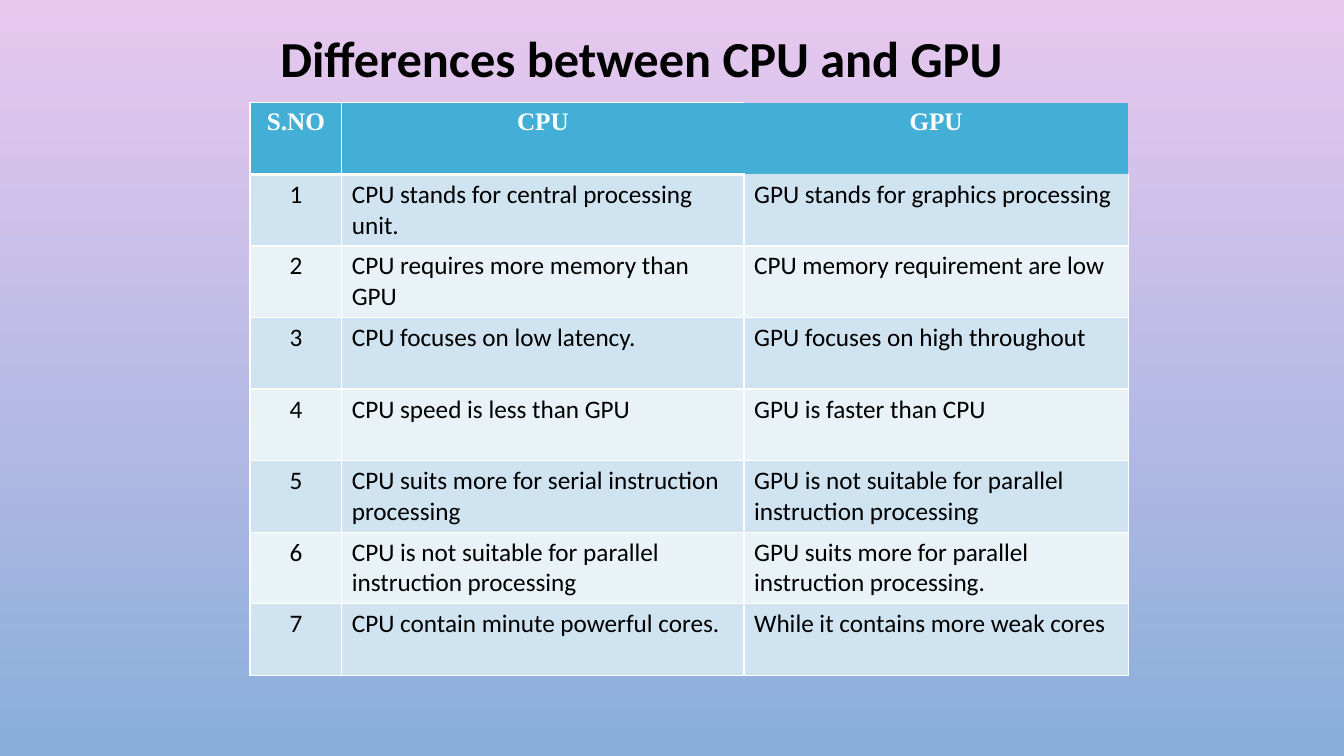
from dataclasses import dataclass

from lxml.etree import SubElement
from pptx import Presentation
from pptx.dml.color import RGBColor
from pptx.enum.text import MSO_ANCHOR, PP_ALIGN
from pptx.oxml.ns import qn
from pptx.util import Inches, Pt

WHITE, BLACK = "FFFFFF", "000000"
HEADER_FILL = "43AFD6"
BAND_FILLS = ("E9F2F7", "CFE3F0")
COLUMN_WIDTHS = (0.91, 3.99, 3.81)
ROW_HEIGHT = 0.71


@dataclass(frozen=True)
class Difference:
    cpu: str
    gpu: str


DIFFERENCES = (
    Difference("CPU stands for central processing unit.", "GPU stands for graphics processing"),
    Difference("CPU requires more memory than GPU", "CPU memory requirement are low"),
    Difference("CPU focuses on low latency.", "GPU focuses on high throughout"),
    Difference("CPU speed is less than GPU", "GPU is faster than CPU"),
    Difference("CPU suits more for serial instruction processing",
               "GPU is not suitable for parallel instruction processing"),
    Difference("CPU is not suitable for parallel instruction processing",
               "GPU suits more for parallel instruction processing."),
    Difference("CPU contain minute powerful cores.", "While it contains more weak cores"),
)


def color(value: str) -> RGBColor:
    return RGBColor.from_string(value)


def write(frame, text: str, *, size: float, font: str = "Calibri", fill: str = BLACK,
          bold: bool = False, align=PP_ALIGN.LEFT, spacing: float = 1.0) -> None:
    para = frame.paragraphs[0]
    para.alignment = align
    para.line_spacing = spacing
    span = para.add_run()
    span.text = text
    span.font.name = font
    span.font.size = Pt(size)
    span.font.bold = bold
    span.font.color.rgb = color(fill)


def border_widths(row: int, column: int) -> dict[str, float]:
    """Return the line width in points for each side of a cell; 0 means no line."""
    widths = {"L": 1, "R": 1, "T": 1, "B": 1}
    if row == 0:
        widths["B"] = 3
        if column == 1:
            widths["R"] = 0
        elif column == 2:
            widths = dict.fromkeys(widths, 0)
    elif row == 1:
        widths["T"] = 0 if column == 2 else 3
    return widths


def draw_borders(cell, widths: dict[str, float]) -> None:
    properties = cell._tc.get_or_add_tcPr()
    for side, width in widths.items():
        line = SubElement(properties, qn(f"a:ln{side}"), w=str(Pt(width)))
        if width:
            fill = SubElement(line, qn("a:solidFill"))
            SubElement(fill, qn("a:srgbClr"), val=WHITE)
        else:
            SubElement(line, qn("a:noFill"))


def paint_background(page) -> None:
    fill = page.background.fill
    fill.gradient()
    fill.gradient_angle = 270
    for stop, value in zip(fill.gradient_stops, ("E9C8EF", "89AEDB")):
        stop.color.rgb = color(value)


def add_title(page) -> None:
    box = page.shapes.add_textbox(Inches(0.7), Inches(-0.27), Inches(11.33), Inches(1.75))
    box.text_frame.word_wrap = True
    box.text_frame.vertical_anchor = MSO_ANCHOR.MIDDLE
    write(box.text_frame, "Differences between CPU and GPU", size=36, bold=True,
          align=PP_ALIGN.CENTER, spacing=0.9)


def add_comparison(page) -> None:
    rows = [("S.NO", "CPU", "GPU")]
    rows += [(str(number), item.cpu, item.gpu) for number, item in enumerate(DIFFERENCES, 1)]
    table = page.shapes.add_table(
        len(rows), len(COLUMN_WIDTHS), Inches(2.48), Inches(1.02),
        Inches(sum(COLUMN_WIDTHS)), Inches(ROW_HEIGHT * len(rows))).table
    for column, width in zip(table.columns, COLUMN_WIDTHS):
        column.width = Inches(width)
    for row, texts in enumerate(rows):
        table.rows[row].height = Inches(ROW_HEIGHT)
        for column, text in enumerate(texts):
            cell = table.cell(row, column)
            draw_borders(cell, border_widths(row, column))
            cell.fill.solid()
            cell.fill.fore_color.rgb = color(BAND_FILLS[row % 2] if row else HEADER_FILL)
            centred = row == 0 or column == 0
            write(cell.text_frame, text, size=18, bold=row == 0,
                  font="Calibri" if row else "Times New Roman",
                  fill=BLACK if row else WHITE,
                  align=PP_ALIGN.CENTER if centred else PP_ALIGN.LEFT)


def main() -> None:
    deck = Presentation()
    deck.slide_width, deck.slide_height = Inches(13.33), Inches(7.5)
    page = deck.slides.add_slide(deck.slide_layouts[6])
    paint_background(page)
    add_title(page)
    add_comparison(page)
    deck.save("out.pptx")


if __name__ == "__main__":
    main()
